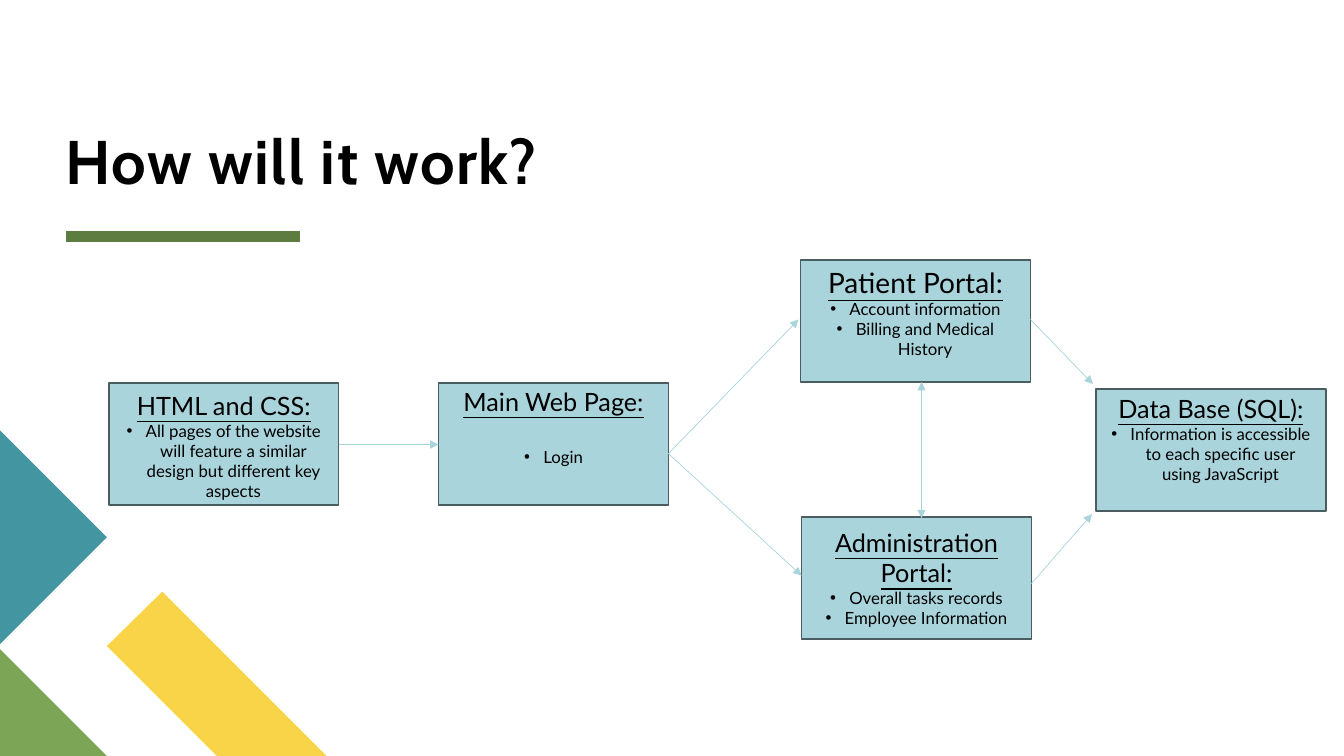
from lxml.etree import SubElement
from pptx import Presentation
from pptx.dml.color import RGBColor
from pptx.enum.shapes import MSO_CONNECTOR, MSO_SHAPE
from pptx.enum.text import MSO_ANCHOR, PP_ALIGN
from pptx.oxml.ns import qn
from pptx.util import Inches, Pt

# Content: heading, heading size, bullets, left, top, text inset, gap before bullets
TITLE = "How will it work?"
BOXES = [
    ("Patient Portal:", 20, ["Account information", "Billing and Medical History"],
     7.94, 2.58, 0.05, 0),
    ("Administration Portal:", 18, ["Overall tasks records", "Employee Information"],
     7.95, 5.13, 0.1, 0),
    ("Main Web Page:", 18, ["Login"], 4.35, 3.8, 0.03, 22),
    ("HTML and CSS:", 18,
     ["All pages of the website will feature a similar design but different key aspects"],
     1.08, 3.8, 0.07, 0),
    ("Data Base (SQL):", 18,
     ["Information is accessible to each specific user using JavaScript"],
     10.87, 3.86, 0.04, 0),
]
# Arrows: start, end, whether both ends are pointed
ARROWS = [
    ((9.14, 3.79), (9.14, 5.14), True),
    ((6.63, 4.5), (7.92, 3.17), False),
    ((6.63, 4.5), (7.95, 5.71), False),
    ((3.36, 4.41), (4.35, 4.41), False),
    ((10.22, 3.17), (10.84, 3.81), False),
    ((10.23, 5.79), (10.83, 5.1), False),
]
DECORATIONS = [
    ("yellow", [(3.24, 7.5), (2.15, 7.5), (1.06, 6.41), (1.61, 5.87)]),
    ("green", [(1.06, 7.5), (0, 7.5), (0, 6.44)]),
    ("teal", [(0, 4.27), (1.06, 5.33), (0, 6.39)]),
]
BOX_WIDTH, BOX_HEIGHT = 2.28, 1.21
BULLET_INDENT = 0.19
THEME = {
    "yellow": "F9D448", "green": "7CA655", "teal": "4495A2",
    "rule": "5D7D40", "box": "A9D4DB", "border": "4A5D60", "text": "000000",
    "title_font": "Cabin", "body_font": "Lato", "title_size": 44, "bullet_size": 12,
}


def color(name):
    return RGBColor.from_string(THEME[name])


def set_format(target, values):
    for name, value in values.items():
        setattr(target, name, value)


def write(para, text, font, size, **extra):
    span = para.add_run()
    span.text = text
    set_format(span.font, {"name": THEME[font], "size": Pt(size), **extra})
    span.font.color.rgb = color("text")
    return span


def add_bullet(para):
    properties = para._p.get_or_add_pPr()
    properties.set("marL", str(Inches(BULLET_INDENT)))
    properties.set("indent", str(-Inches(BULLET_INDENT)))
    SubElement(properties, qn("a:buFont")).set("typeface", "Arial")
    SubElement(properties, qn("a:buChar")).set("char", "•")


def add_line(page, start, end, name, width, ends=()):
    line = page.shapes.add_connector(
        MSO_CONNECTOR.STRAIGHT, *[Inches(value) for value in start + end])
    line.line.color.rgb = color(name)
    line.line.width = Pt(width)
    outline = line.line._get_or_add_ln()
    for tag in ends:
        SubElement(outline, qn(tag)).set("type", "triangle")
    SubElement(line._element.spPr, qn("a:effectLst"))


def add_decoration(page, name, points):
    corners = [(Inches(x), Inches(y)) for x, y in points]
    builder = page.shapes.build_freeform(*corners[0])
    builder.add_line_segments(corners[1:], close=True)
    shape = builder.convert_to_shape()
    shape.shadow.inherit = False
    shape.fill.solid()
    shape.fill.fore_color.rgb = color(name)
    shape.line.fill.background()


def add_title(page):
    frame = page.shapes.add_textbox(
        Inches(0.65), Inches(0.11), Inches(11.89), Inches(1.84)).text_frame
    set_format(frame, {"word_wrap": True, "vertical_anchor": MSO_ANCHOR.BOTTOM,
                       "margin_left": 0, "margin_right": 0,
                       "margin_top": 0, "margin_bottom": 0})
    para = frame.paragraphs[0]
    para.line_spacing = 0.8
    span = write(para, TITLE, "title_font", THEME["title_size"], bold=True)
    span.font._element.set("spc", "100")


def add_box(page, heading, size, bullets, left, top, inset, gap):
    box = page.shapes.add_shape(
        MSO_SHAPE.RECTANGLE, Inches(left), Inches(top),
        Inches(BOX_WIDTH), Inches(BOX_HEIGHT))
    box.shadow.inherit = False
    box.fill.solid()
    box.fill.fore_color.rgb = color("box")
    box.line.color.rgb = color("border")
    box.line.width = Pt(1)
    frame = box.text_frame
    set_format(frame, {"word_wrap": True, "vertical_anchor": MSO_ANCHOR.TOP,
                       "margin_top": Inches(inset), "margin_bottom": 0})
    para = frame.paragraphs[0]
    para.alignment = PP_ALIGN.CENTER
    write(para, heading, "body_font", size, underline=True)
    for index, bullet in enumerate(bullets):
        para = frame.add_paragraph()
        set_format(para, {"alignment": PP_ALIGN.CENTER,
                          "space_before": Pt(0 if index else gap)})
        add_bullet(para)
        write(para, bullet, "body_font", THEME["bullet_size"])


def main():
    deck = Presentation()
    set_format(deck, {"slide_width": Inches(13.33), "slide_height": Inches(7.5)})
    page = deck.slides.add_slide(deck.slide_layouts[6])

    # Title, rule and corner decoration
    add_line(page, (0.65, 2.35), (2.98, 2.35), "rule", 8)
    for name, points in DECORATIONS:
        add_decoration(page, name, points)
    add_title(page)

    # Flow chart
    for box in BOXES:
        add_box(page, *box)
    for start, end, both in ARROWS:
        ends = ("a:headEnd", "a:tailEnd") if both else ("a:tailEnd",)
        add_line(page, start, end, "box", 0.5, ends)

    deck.save("out.pptx")


if __name__ == "__main__":
    main()
